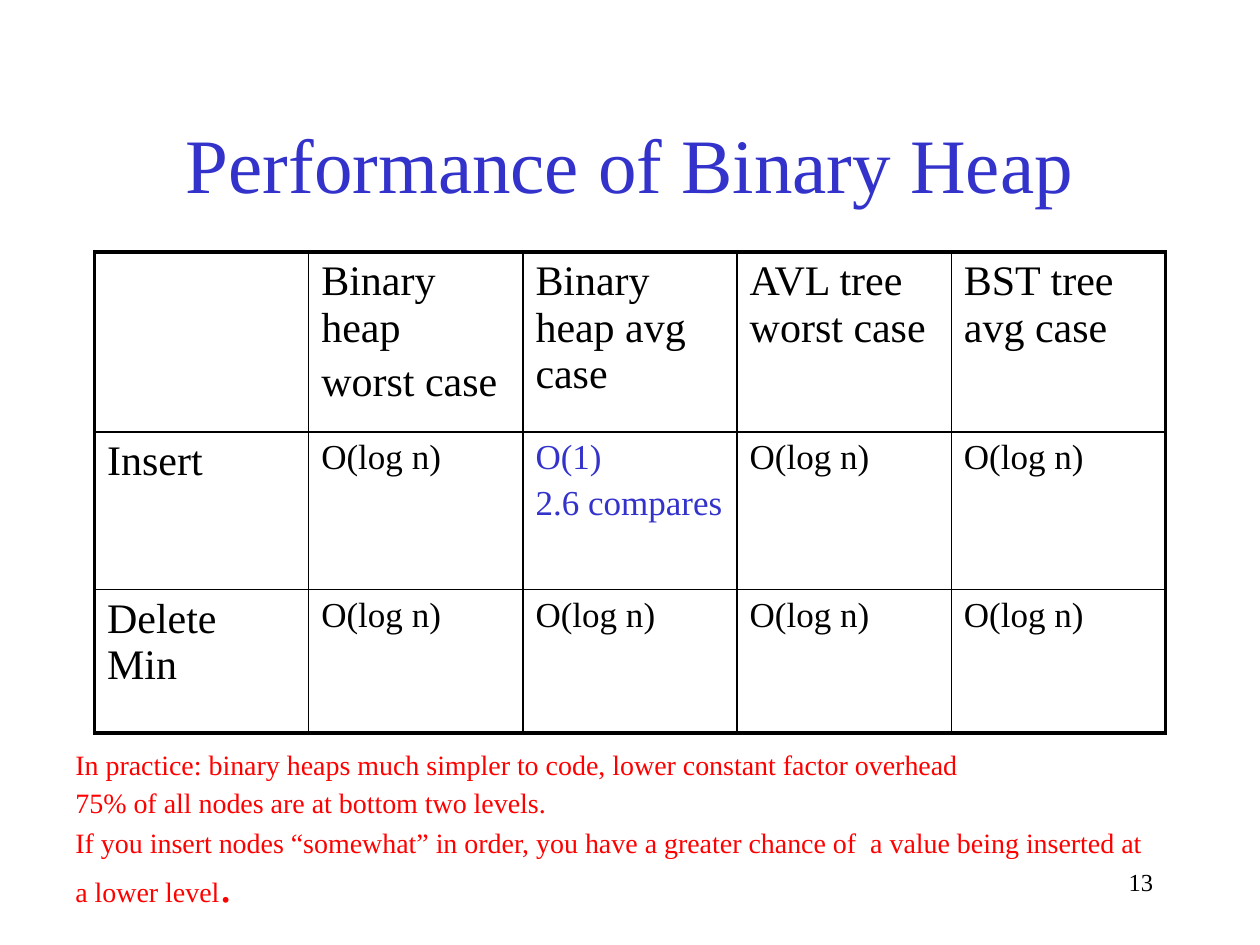
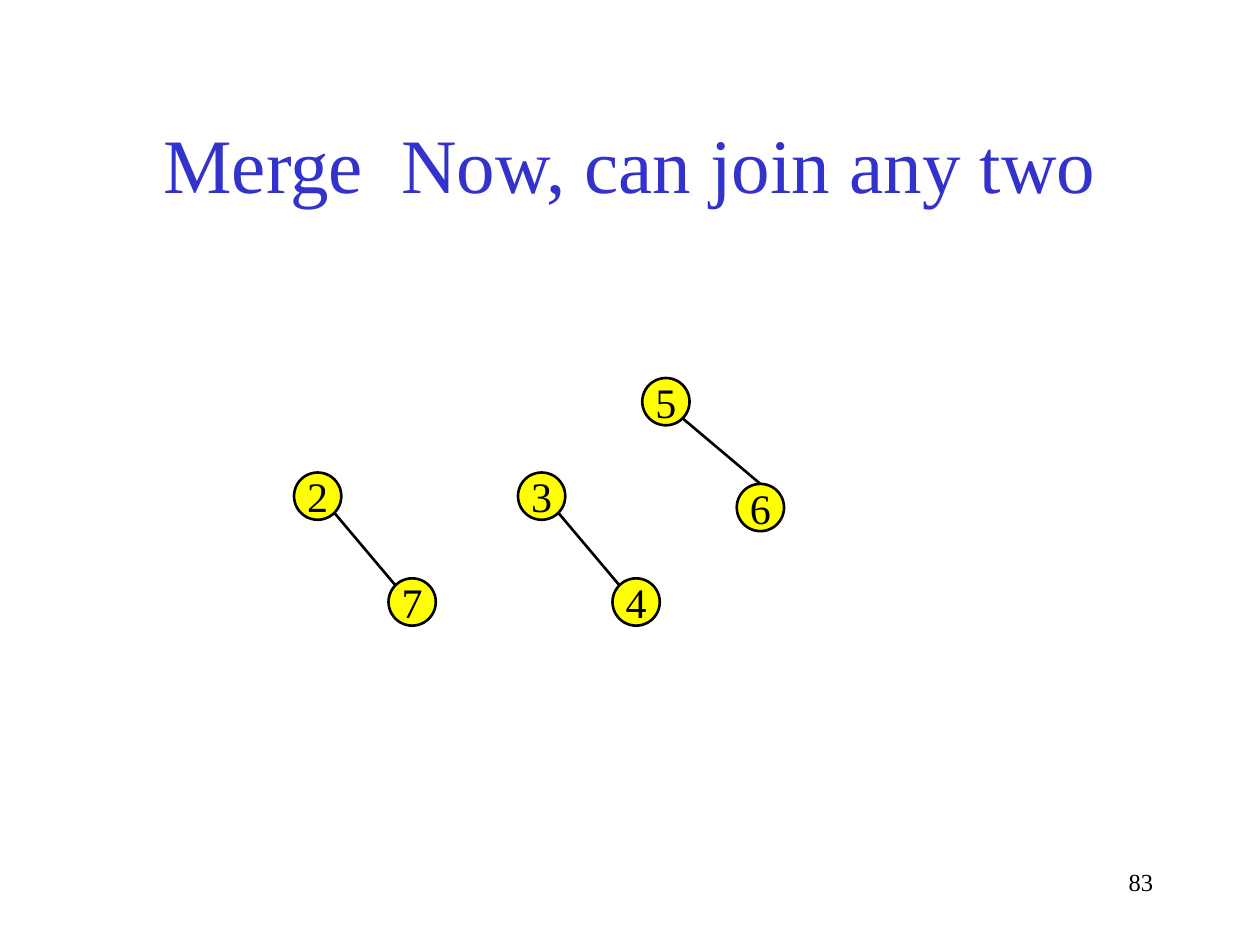
from dataclasses import dataclass

from lxml import etree
from pptx import Presentation
from pptx import util as u
from pptx.dml.color import RGBColor
from pptx.enum import shapes, text
from pptx.oxml import ns

Pt = u.Pt
ALIGN = text.PP_ALIGN
ANCHOR = text.MSO_ANCHOR


@dataclass(frozen=True)
class Theme:
    font: str = "Times New Roman"
    ink: str = "000000"
    accent: str = "3333CC"
    remark: str = "FF0000"
    node: str = "FFFF00"
    title_size: int = 44
    label_size: int = 24
    entry_size: int = 20
    remark_size: int = 16
    number_size: int = 14
    thick: float = 2.25
    medium: float = 1.5
    thin: float = 1


THEME = Theme()
NODE = 27              # node diameter
CHILD = (54, 60.5)     # step from a parent node to its child
RIM = 0.854            # share of the diameter where the lower-right rim lies

HEADS = ["", "Binary heap\nworst case", "Binary heap avg case",
         "AVL tree worst case", "BST tree avg case"]
LOG = "O(log n)"
ROWS = [HEADS,
        ["Insert", LOG, "O(1)\n2.6 compares", LOG, LOG],
        ["Delete Min", LOG, LOG, LOG, LOG]]
ROW_HEIGHTS = [103, 90, 82]
BEST_CASE = (1, 2)     # row and column of the highlighted entry


def style(font, size, color):
    font.name, font.size = THEME.font, Pt(size)
    font.color.rgb = RGBColor.from_string(color)


def write(tf, content, size, color=THEME.ink, align=ALIGN.LEFT,
          before=0, spacing=None):
    """Fill a frame, one paragraph a line; space goes between paragraphs."""
    for i, line in enumerate(content.split("\n")):
        p = tf.paragraphs[0] if i == 0 else tf.add_paragraph()
        p.alignment = align
        p.space_before = Pt(before if i else 0)
        if spacing:
            p.line_spacing = spacing
        r = p.add_run()
        r.text = line
        style(r.font, size, color)


def add_text(s, box, content, size, **fmt):
    tf = s.shapes.add_textbox(*map(Pt, box)).text_frame
    tf.word_wrap = True
    write(tf, content, size, **fmt)
    return tf


def new_slide(prs, title, number):
    """Title-only slide with the shared title style and page number."""
    s = prs.slides.add_slide(prs.slide_layouts[5])
    sp = s.shapes.title
    sp.left, sp.top, sp.width, sp.height = map(Pt, (54, 48, 612, 90))
    tf = sp.text_frame
    tf.vertical_anchor = ANCHOR.MIDDLE
    tf.auto_size = text.MSO_AUTO_SIZE.NONE
    write(tf, title, THEME.title_size, THEME.accent, ALIGN.CENTER)
    add_text(s, (516, 492, 150, 36), str(number), THEME.number_size,
             align=ALIGN.RIGHT)
    return s


def set_border(cell, side, width):
    tc_pr = cell._tc.get_or_add_tcPr()
    ln = etree.SubElement(tc_pr, ns.qn(f"a:ln{side}"), w=str(int(Pt(width))))
    fill = etree.SubElement(ln, ns.qn("a:solidFill"))
    etree.SubElement(fill, ns.qn("a:srgbClr"), val=THEME.ink)


def add_grid(s, left, top, col_width, row_heights, rows):
    """Table with a thick frame and thin inner rules."""
    n_rows, n_cols = len(rows), len(rows[0])
    table = s.shapes.add_table(n_rows, n_cols, Pt(left), Pt(top),
                               Pt(col_width * n_cols),
                               Pt(sum(row_heights))).table
    table.first_row = table.horz_banding = False
    for col in table.columns:
        col.width = Pt(col_width)
    for i, entries in enumerate(rows):
        table.rows[i].height = Pt(row_heights[i])
        for j, entry in enumerate(entries):
            cell = table.cell(i, j)
            outer = {"L": j == 0, "R": j == n_cols - 1,
                     "T": i == 0, "B": i == n_rows - 1}
            for side, on_frame in outer.items():
                set_border(cell, side, THEME.thick if on_frame else THEME.thin)
            cell.fill.background()
            if entry:
                is_label = i == 0 or j == 0
                size = THEME.label_size if is_label else THEME.entry_size
                color = THEME.accent if (i, j) == BEST_CASE else THEME.ink
                write(cell.text_frame, entry, size, color, before=size * 0.2)


def add_node(s, x, y, key):
    sp = s.shapes.add_shape(shapes.MSO_SHAPE.OVAL, Pt(x), Pt(y),
                            Pt(NODE), Pt(NODE))
    sp.shadow.inherit = False
    sp.fill.solid()
    sp.fill.fore_color.rgb = RGBColor.from_string(THEME.node)
    sp.line.color.rgb = RGBColor.from_string(THEME.ink)
    sp.line.width = Pt(THEME.medium)
    tf = sp.text_frame
    tf.word_wrap = False
    tf.vertical_anchor = ANCHOR.MIDDLE
    write(tf, key, THEME.label_size, align=ALIGN.CENTER)


def add_edge(s, start, end):
    cx = s.shapes.add_connector(shapes.MSO_CONNECTOR.STRAIGHT,
                                *map(Pt, (*start, *end)))
    cx.line.color.rgb = RGBColor.from_string(THEME.ink)
    cx.line.width = Pt(THEME.medium)
    etree.SubElement(cx._element.spPr, ns.qn("a:effectLst"))


def add_tree(s, x, y, root, child, entry):
    """Root and child; entry is where the edge meets the child, 0 to 1."""
    cx, cy = x + CHILD[0], y + CHILD[1]
    add_node(s, x, y, root)
    add_node(s, cx, cy, child)
    add_edge(s, (x + NODE * RIM, y + NODE * RIM),
             (cx + NODE * entry[0], cy + NODE * entry[1]))


def performance_slide(prs):
    s = new_slide(prs, "Performance of Binary Heap", 13)
    add_grid(s, 54, 144, 122.4, ROW_HEIGHTS, ROWS)
    # Remarks below the table, closed by a large full stop
    tf = add_text(
        s, (36, 426, 630, 90),
        "In practice: binary heaps much simpler to code, "
        "lower constant factor overhead\n"
        "75% of all nodes are at bottom two levels.\n"
        "If you insert nodes “somewhat” in order, you have a greater chance of"
        "  a value being inserted at a lower level",
        THEME.remark_size, color=THEME.remark, before=4, spacing=0.9)
    last = tf.paragraphs[-1]
    last.space_before = Pt(6)
    r = last.add_run()
    r.text = "."
    style(r.font, 28, THEME.remark)


def merge_slide(prs):
    s = new_slide(prs, "Merge  Now, can join any two", 83)
    corner, crown = (1 - RIM, 1 - RIM), (0.5, 0)
    for x, y, root, child, entry in [(168, 270, "2", "7", corner),
                                     (296, 270, "3", "4", corner),
                                     (367, 216, "5", "6", crown)]:
        add_tree(s, x, y, root, child, entry)


def main():
    prs = Presentation()
    prs.slide_width, prs.slide_height = Pt(720), Pt(540)
    performance_slide(prs)
    merge_slide(prs)
    prs.save("out.pptx")


if __name__ == "__main__":
    main()
